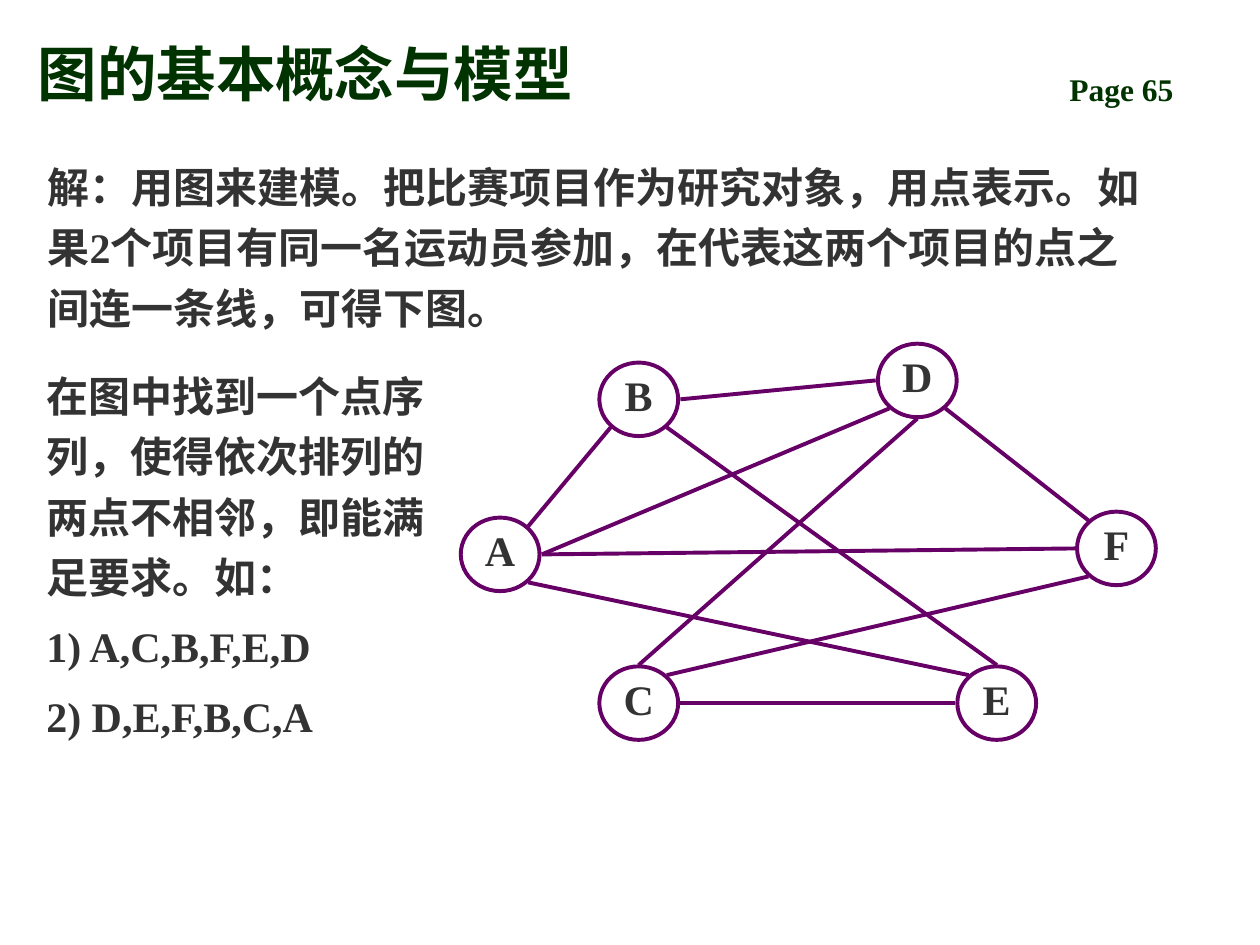
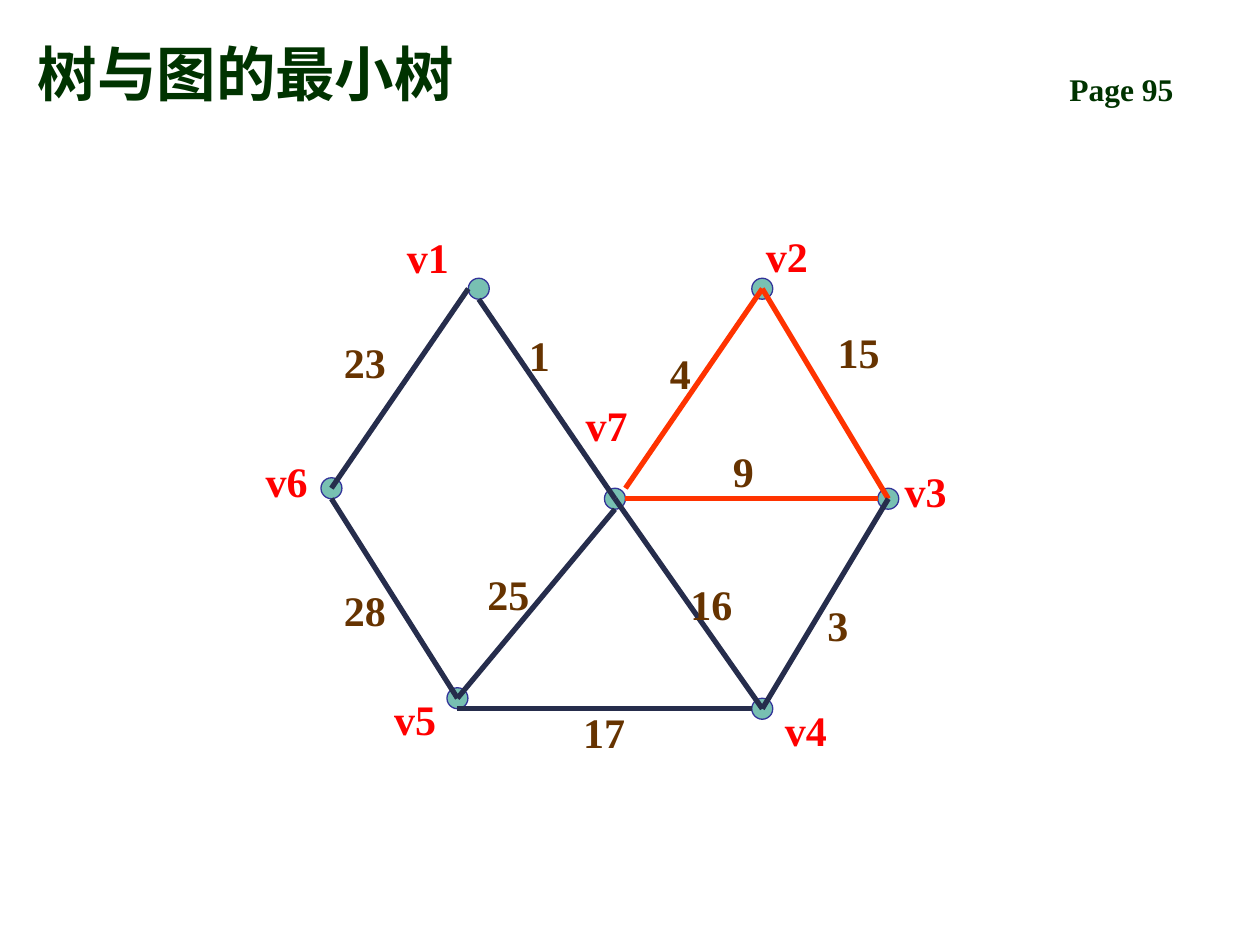
from lxml.etree import SubElement
from pptx import Presentation
from pptx.dml.color import RGBColor
from pptx.enum.shapes import MSO_CONNECTOR, MSO_SHAPE
from pptx.enum.text import MSO_ANCHOR, MSO_AUTO_SIZE, PP_ALIGN
from pptx.oxml.ns import qn
from pptx.util import Pt

GREEN = RGBColor(0x00, 0x33, 0x00)
GRAY = RGBColor(0x33, 0x33, 0x33)
PURPLE = RGBColor(0x66, 0x00, 0x66)
TEAL = RGBColor(0x78, 0xC0, 0xB2)
BLUE = RGBColor(0x33, 0x33, 0x99)
NAVY = RGBColor(0x26, 0x2D, 0x4C)
ORANGE = RGBColor(0xFF, 0x33, 0x00)
RED = RGBColor(0xFF, 0x00, 0x00)
BROWN = RGBColor(0x66, 0x33, 0x00)

FONT = "Times New Roman"
BODY = 24

# Unit steps from a node's centre to the points where edges attach
STEPS = {"c": (0, 0), "n": (0, -1), "s": (0, 1), "w": (-1, 0), "e": (1, 0),
         "nw": (-1, -1), "ne": (1, -1), "sw": (-1, 1), "se": (1, 1)}


def attach(center, side, reach, corner):
    """Point on a node's rim; corners use their own distance."""
    dx, dy = STEPS[side]
    across, down = (corner, corner) if dx and dy else reach
    return center[0] + dx * across, center[1] + dy * down


class Deck:
    def __init__(self):
        self.prs = Presentation()
        self.prs.slide_width, self.prs.slide_height = Pt(720), Pt(540)
        self.slide = None

    def start(self, layout, title, page):
        """Add a slide with its title and page mark."""
        self.slide = self.prs.slides.add_slide(self.prs.slide_layouts[layout])
        head = self.slide.shapes.title
        self.place(head, 14.4, 9.4, 578, 56)
        self.style(head.text_frame, [title], 34, GREEN)
        head.text_frame.vertical_anchor = MSO_ANCHOR.BOTTOM
        self.text([f"Page {page}"], 604, 36.7, 102, 29, GREEN, 18)

    def place(self, shape, left, top, width, height):
        shape.left, shape.top = Pt(left), Pt(top)
        shape.width, shape.height = Pt(width), Pt(height)

    def style(self, frame, lines, size, color, align=PP_ALIGN.LEFT,
              space=1.0, before=0):
        """Fill a text frame, one paragraph per line."""
        frame.word_wrap = True
        frame.auto_size = MSO_AUTO_SIZE.NONE
        for i, line in enumerate(lines):
            para = frame.add_paragraph() if i else frame.paragraphs[0]
            para.text = line
            para.alignment = align
            para.line_spacing = space
            para.space_before = Pt(before if i else 0)
            font = para.font
            font.name, font.size, font.bold = FONT, Pt(size), True
            font.color.rgb = color

    def body(self, line, left, top, width, height):
        """Fill the body placeholder with one plain paragraph."""
        shape = self.slide.placeholders[1]
        self.place(shape, left, top, width, height)
        props = shape.text_frame.paragraphs[0]._p.get_or_add_pPr()
        props.set("marL", "0")
        props.set("indent", "0")
        SubElement(props, qn("a:buNone"))
        self.style(shape.text_frame, [line], BODY, GRAY, space=1.2)

    def text(self, lines, left, top, width, height, color, size=BODY,
             space=1.0, before=0):
        box = self.slide.shapes.add_textbox(
            Pt(left), Pt(top), Pt(width), Pt(height))
        self.style(box.text_frame, lines, size, color,
                   space=space, before=before)

    def node(self, center, width, height, line, weight, fill=None, name=None):
        """Draw an ellipse around a centre, with an optional letter."""
        x, y = center
        shape = self.slide.shapes.add_shape(
            MSO_SHAPE.OVAL, Pt(x - width / 2), Pt(y - height / 2),
            Pt(width), Pt(height))
        shape.shadow.inherit = False
        shape.line.color.rgb, shape.line.width = line, Pt(weight)
        if fill is None:
            shape.fill.background()
        else:
            shape.fill.solid()
            shape.fill.fore_color.rgb = fill
        if name:
            frame = shape.text_frame
            frame.margin_left = frame.margin_right = 0
            frame.margin_top = frame.margin_bottom = 0
            frame.vertical_anchor = MSO_ANCHOR.MIDDLE
            self.style(frame, [name], BODY, GRAY, PP_ALIGN.CENTER, 0.8)

    def edge(self, start, end, color, weight):
        link = self.slide.shapes.add_connector(
            MSO_CONNECTOR.STRAIGHT, *(Pt(v) for v in (*start, *end)))
        link.line.color.rgb, link.line.width = color, Pt(weight)
        SubElement(link.element.spPr, qn("a:effectLst"))


def draw_model(deck):
    deck.start(1, "图的基本概念与模型", 65)
    deck.body("解：用图来建模。把比赛项目作为研究对象，用点表示。如果2个项目有"
              "同一名运动员参加，在代表这两个项目的点之间连一条线，可得下图。",
              20, 82.8, 641, 119)

    # Events as nodes
    events = {"A": (285.8, 316.8), "B": (365, 228.2), "C": (365, 401.8),
              "D": (524.2, 217.4), "E": (569.6, 401.8), "F": (638, 313.4)}
    for name, center in events.items():
        deck.node(center, 45, 42, PURPLE, 2.25, name=name)

    # Events that share an athlete
    shared = [("A", "ne", "B", "sw"), ("A", "e", "D", "sw"),
              ("A", "se", "E", "nw"), ("B", "e", "D", "w"),
              ("D", "se", "F", "nw"), ("D", "s", "C", "n"),
              ("B", "se", "E", "n"), ("C", "ne", "F", "sw"),
              ("C", "e", "E", "w"), ("A", "e", "F", "w")]
    for one, out, two, into in shared:
        deck.edge(attach(events[one], out, (23.8, 21.8), 16),
                  attach(events[two], into, (23.8, 21.8), 16), PURPLE, 2.25)

    # Valid orders
    deck.text(["在图中找到一个点序列，使得依次排列的两点不相邻，即能满足要求。如：",
               "1) A,C,B,F,E,D", "2) D,E,F,B,C,A"],
              19.4, 202.3, 244, 226, GRAY, space=1.2, before=5)


def draw_tree(deck):
    deck.start(5, "树与图的最小树", 95)

    # Each vertex: centre, then label corner
    points = {"v1": ((273.6, 165), (225.4, 129)),
              "v2": ((435.6, 165), (430.6, 128.2)),
              "v3": ((507.6, 285), (509.8, 262.2)),
              "v4": ((435.6, 405), (441.4, 399)),
              "v5": ((261.4, 399), (218.2, 393)),
              "v6": ((189.4, 279), (144.7, 257)),
              "v7": ((351.4, 285), (327.6, 224.6))}
    for center, _ in points.values():
        deck.node(center, 12, 12, BLUE, 0.75, TEAL)

    # Each edge: ends, colour, weight, then label corner
    edges = [("v1", "w", "v6", "c", NAVY, 23, (189.4, 188.6)),
             ("v2", "c", "v3", "c", ORANGE, 15, (471.6, 183)),
             ("v1", "s", "v7", "c", NAVY, 1, (295.2, 185)),
             ("v2", "c", "v7", "ne", ORANGE, 4, (375.8, 195.2)),
             ("v7", "e", "v3", "w", ORANGE, 9, (411.8, 251.2)),
             ("v6", "s", "v5", "c", NAVY, 28, (189.4, 330.5)),
             ("v7", "s", "v5", "c", NAVY, 25, (271.4, 321.2)),
             ("v7", "c", "v4", "c", NAVY, 16, (387.4, 327)),
             ("v5", "s", "v4", "w", NAVY, 17, (326.2, 400.4)),
             ("v3", "c", "v4", "c", NAVY, 3, (465.8, 339))]
    for one, out, two, into, color, _, _ in edges:
        deck.edge(attach(points[one][0], out, (6, 6), 6),
                  attach(points[two][0], into, (6, 6), 6), color, 3)

    # Labels above the lines
    for name, (_, corner) in points.items():
        deck.text([name], *corner, 42, 36, RED)
    for *_, weight, corner in edges:
        deck.text([str(weight)], *corner, 42, 36, BROWN)


def main():
    deck = Deck()
    draw_model(deck)
    draw_tree(deck)
    deck.prs.save("out.pptx")


if __name__ == "__main__":
    main()
